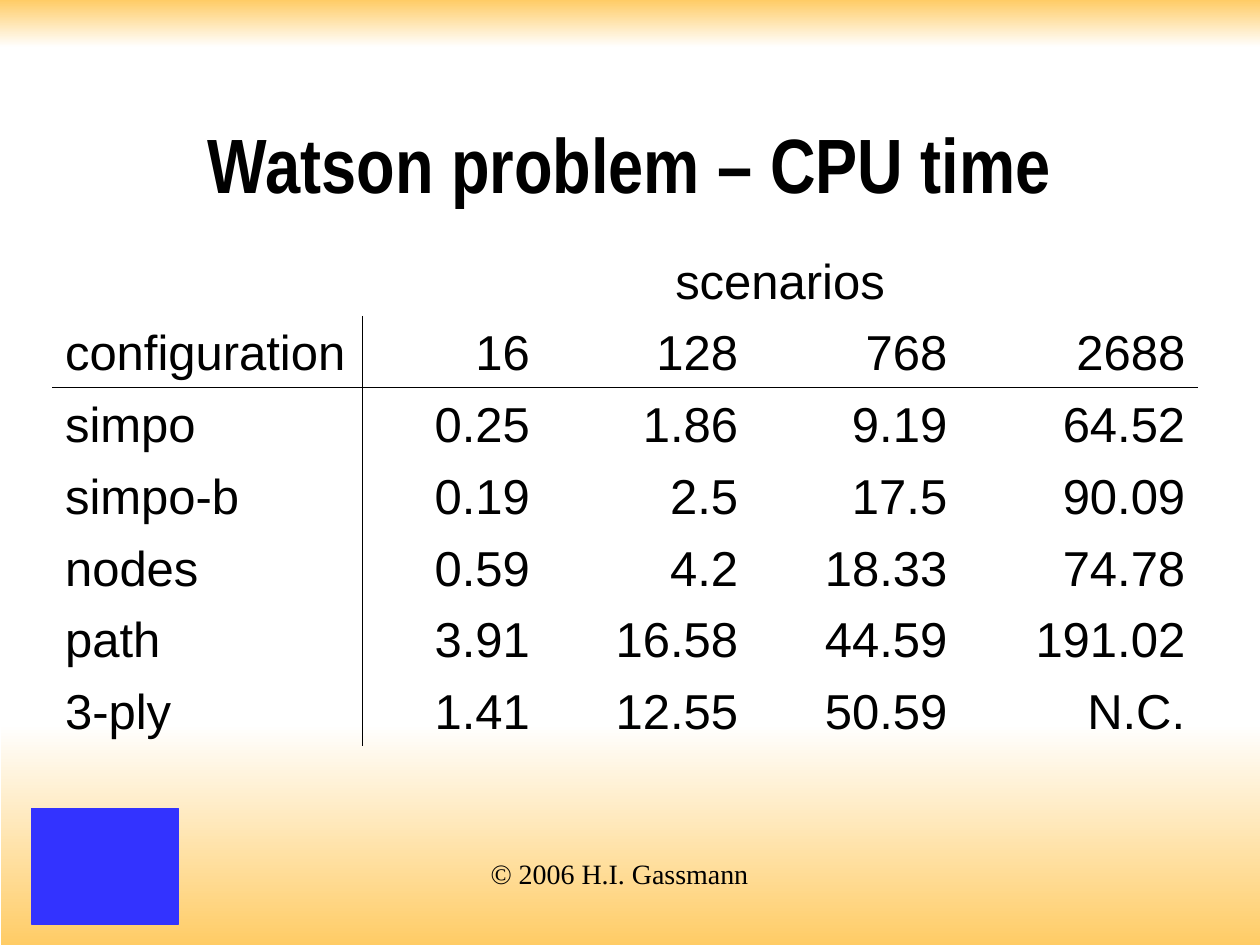
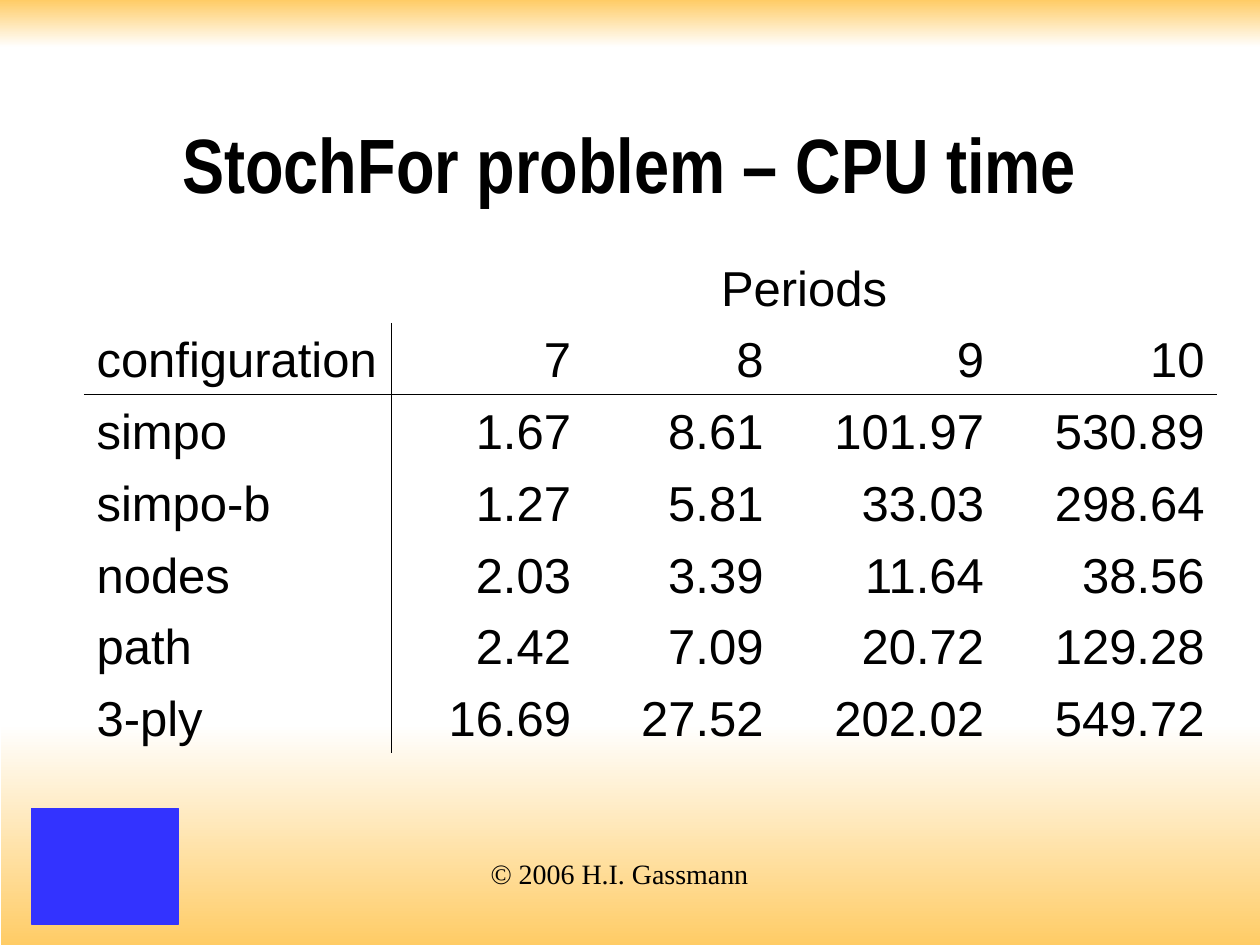
from lxml.etree import SubElement
from pptx import Presentation
from pptx.dml.color import RGBColor as RGB
from pptx.enum.shapes import MSO_SHAPE as Shape
from pptx.enum.text import MSO_ANCHOR as Anchor, MSO_AUTO_SIZE as Fit, PP_ALIGN as Align
from pptx.oxml.ns import qn
from pptx.util import Pt

COLORS = {"ink": "000000", "paper": "FFFFFF", "sand": "FFCC66", "blue": "3333FF"}
NAMES = ["configuration", "simpo", "simpo-b", "nodes", "path", "3-ply"]


class Deck:
    """Hold the shared style and the current slide."""

    def __init__(self):
        """Start an empty deck of the right size."""
        self.prs = Presentation()
        self.prs.slide_width, self.prs.slide_height = Pt(720), Pt(540)
        self.slide = None

    def color(self, name):
        """Look up a named colour."""
        return RGB.from_string(COLORS[name])

    def style(self, para, size, face, align, bold=False):
        """Format one paragraph."""
        para.alignment = align
        font = para.font
        font.size, font.name, font.bold = Pt(size), face, bold
        font.color.rgb = self.color("ink")

    def rect(self, left, top, width, height):
        """Add a rectangle without a shadow."""
        box = self.slide.shapes.add_shape(
            Shape.RECTANGLE, Pt(left), Pt(top), Pt(width), Pt(height))
        box.shadow.inherit = False
        return box

    def band(self, left, top, width, height, *names):
        """Add a band that fades from the upper to the lower colour."""
        box = self.rect(left, top, width, height)
        box.line.fill.background()
        box.fill.gradient()
        box.fill.gradient_angle = 270
        for stop, name in zip(box.fill.gradient_stops, names):
            stop.color.rgb = self.color(name)

    def badge(self, left, top, width, height):
        """Add the plain blue corner block."""
        box = self.rect(left, top, width, height)
        box.fill.solid()
        box.fill.fore_color.rgb = self.color("blue")
        box.line.color.rgb = self.color("blue")
        box.line.width = Pt(0.75)

    def footer(self, text):
        """Add the centred copyright line."""
        box = self.slide.shapes.add_textbox(Pt(210), Pt(486), Pt(288), Pt(26.5))
        box.text_frame.word_wrap = True
        box.text_frame.text = text
        self.style(box.text_frame.paragraphs[0], 16, "Times New Roman", Align.CENTER)

    def title(self, text):
        """Place and fill the title."""
        box = self.slide.shapes.title
        box.left, box.top, box.width, box.height = Pt(54), Pt(48), Pt(612), Pt(90)
        frame = box.text_frame
        frame.text = text
        frame.word_wrap, frame.auto_size = True, Fit.NONE
        frame.vertical_anchor = Anchor.MIDDLE
        self.style(frame.paragraphs[0], 44, "Arial Narrow", Align.CENTER, True)

    def page(self, title):
        """Start a slide with its bands, badge, footer and title."""
        self.slide = self.prs.slides.add_slide(self.prs.slide_layouts[5])
        self.band(0.5, 414, 719.5, 126, "paper", "sand")
        self.band(0, 0, 720, 27, "sand", "paper")
        self.badge(18, 462, 84, 66)
        self.footer("© 2006 H.I. Gassmann")
        self.title(title)

    def edges(self, cell, drawn):
        """Draw the given sides of a cell and clear the others."""
        props = cell._tc.get_or_add_tcPr()
        for side in "LRTB":
            line = SubElement(props, qn(f"a:ln{side}"), w=str(Pt(0.45)))
            if side in drawn:
                fill = SubElement(line, qn("a:solidFill"))
                SubElement(fill, qn("a:srgbClr"), val=COLORS["ink"])
            else:
                SubElement(line, qn("a:noFill"))

    def table(self, left, top, widths, first, head, rows):
        """Add a table with a spanning head and ruled first column."""
        grid = [["", head, "", "", ""]]
        grid += [[name, *row.split()] for name, row in zip(NAMES, rows)]
        high = 41
        frame = self.slide.shapes.add_table(
            len(grid), len(widths), Pt(left), Pt(top),
            Pt(sum(widths)), Pt(first + high * len(rows)))
        table = frame.table
        table.first_row = table.horz_banding = False
        for col, width in zip(table.columns, widths):
            col.width = Pt(width)
        for r, row in enumerate(grid):
            table.rows[r].height = Pt(high if r else first)
            for c, text in enumerate(row):
                cell = table.cell(r, c)
                sides = {1: "B", 2: "T"}.get(r, "")
                if r:
                    sides += {0: "R", 1: "L"}.get(c, "")
                self.edges(cell, sides)
                cell.fill.background()
                cell.vertical_anchor = Anchor.BOTTOM
                cell.text = text
                align = Align.CENTER if r == 0 else Align.RIGHT if c else Align.LEFT
                self.style(cell.text_frame.paragraphs[0], 28, "Arial", align)
        table.cell(0, 1).merge(table.cell(0, len(widths) - 1))


def main():
    """Build both slides and save the deck."""
    deck = Deck()
    deck.page("Watson problem – CPU time")
    deck.table(30, 114, [177, 103, 119, 119.5, 136], 66.5, "scenarios", [
        "16 128 768 2688",
        "0.25 1.86 9.19 64.52",
        "0.19 2.5 17.5 90.09",
        "0.59 4.2 18.33 74.78",
        "3.91 16.58 44.59 191.02",
        "1.41 12.55 50.59 N.C.",
    ])
    deck.page("StochFor problem – CPU time")
    deck.table(48, 108, [175.5, 110, 110, 126, 126], 76.5, "Periods", [
        "7 8 9 10",
        "1.67 8.61 101.97 530.89",
        "1.27 5.81 33.03 298.64",
        "2.03 3.39 11.64 38.56",
        "2.42 7.09 20.72 129.28",
        "16.69 27.52 202.02 549.72",
    ])
    deck.prs.save("out.pptx")


if __name__ == "__main__":
    main()
